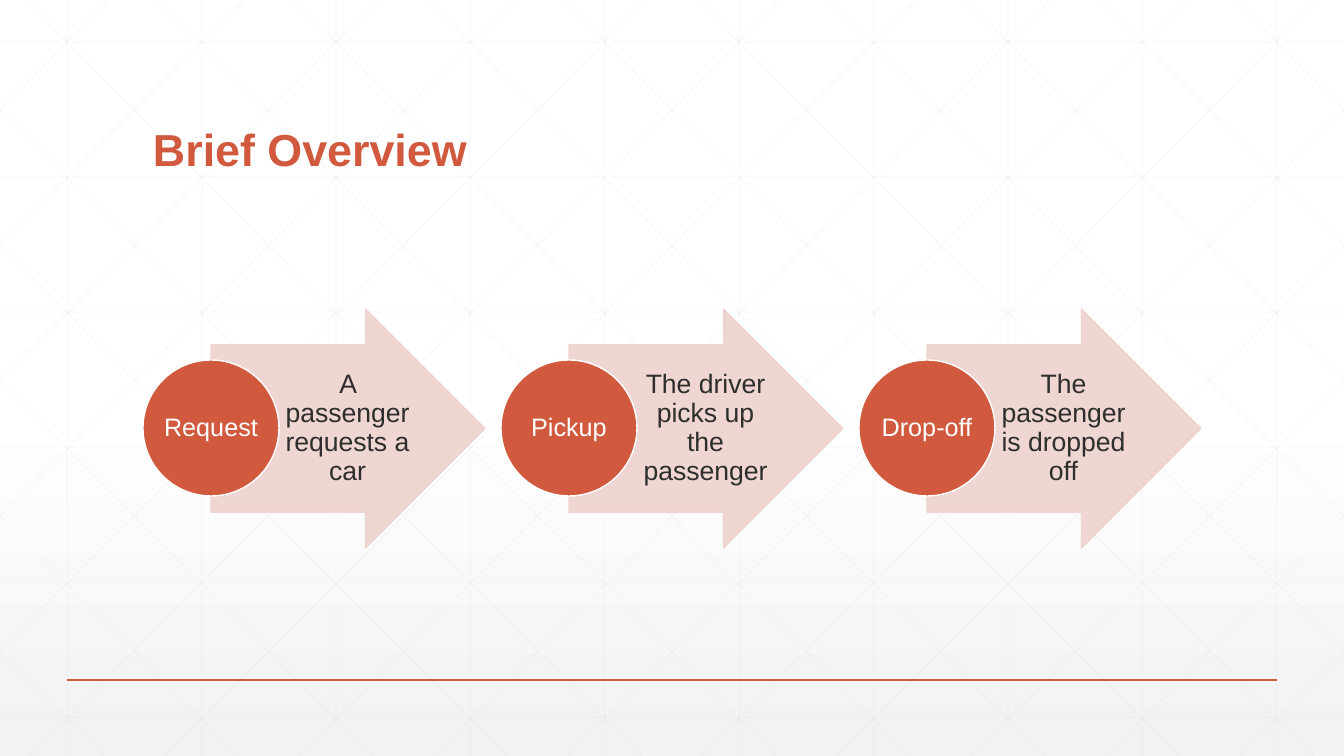
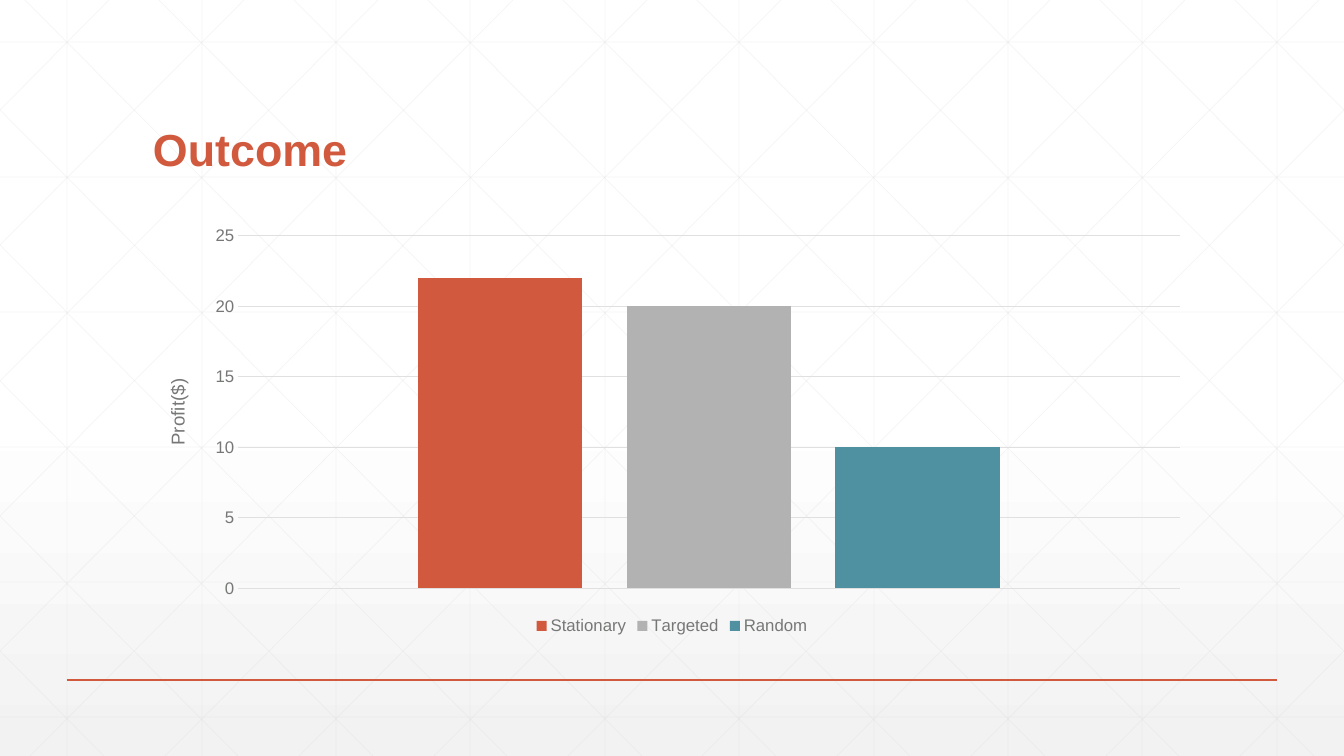
from dataclasses import dataclass

from lxml.etree import SubElement
from pptx import Presentation
from pptx.chart.data import CategoryChartData
from pptx.dml.color import RGBColor
from pptx.enum.chart import XL_CHART_TYPE as Kind, XL_LEGEND_POSITION as Spot
from pptx.enum.chart import XL_TICK_MARK as Tick
from pptx.enum.shapes import MSO_CONNECTOR as Link, MSO_SHAPE as Form
from pptx.enum.text import MSO_ANCHOR as Anchor, PP_ALIGN as Align
from pptx.oxml.ns import qn
from pptx.util import Emu, Pt

# Shared look
WIDE, HIGH = 1344, 756
FONT = "Arial"
WHITE, RUST, BLUSH = "FFFFFF", "D15A3E", "EED2CE"
INK, SLATE, MESH, PALE = "2D2E2D", "767876", "D9D9D9", "DFE0DF"
LEFT, SPAN = 143, 1058


@dataclass
class Step:
    name: str
    text: str


@dataclass
class Bar:
    name: str
    value: int
    color: str


STEPS = [
    Step("Request", "A passenger requests a car"),
    Step("Pickup", "The driver picks up the passenger"),
    Step("Drop-off", "The passenger is dropped off"),
]
BARS = [
    Bar("Stationary", 22, RUST),
    Bar("Targeted", 20, "B2B2B2"),
    Bar("Random", 10, "4F91A1"),
]


def px(size: float) -> Emu:
    return Emu(round(round(size) * 914400 / 100.8))


def box(*sizes: float) -> list[Emu]:
    return [px(size) for size in sizes]


def rgb(code: str) -> RGBColor:
    return RGBColor.from_string(code)


def style(font, size: float, color: str, bold: bool = False) -> None:
    font.name, font.size, font.bold = FONT, Pt(size), bold
    font.color.rgb = rgb(color)


def fade(shape, rate: int) -> None:
    for tint in shape.element.iter(qn("a:srgbClr")):
        SubElement(tint, qn("a:alpha"), val=str(rate * 1000))


def write(shape, text: str, size: float, color: str, pads: tuple,
          align=Align.CENTER, anchor=Anchor.MIDDLE, bold: bool = False) -> None:
    frame = shape.text_frame
    frame.word_wrap, frame.vertical_anchor = True, anchor
    frame.margin_left, frame.margin_top, frame.margin_right, frame.margin_bottom = box(*pads)
    frame.text = text
    para = frame.paragraphs[0]
    para.alignment, para.line_spacing = align, 0.9
    style(para.font, size, color, bold)


def rule(shapes, ends: tuple, color: str, width: float, rate: int = 100) -> None:
    line = shapes.add_connector(Link.STRAIGHT, *box(*ends))
    line.line.color.rgb, line.line.width = rgb(color), Pt(width)
    if rate < 100:
        fade(line, rate)
    SubElement(line.element.spPr, qn("a:effectLst"))


def solid(shapes, form, area: tuple, fill: str, edge: str):
    shape = shapes.add_shape(form, *box(*area))
    shape.shadow.inherit = False
    shape.fill.solid()
    shape.fill.fore_color.rgb = rgb(fill)
    shape.line.color.rgb, shape.line.width = rgb(edge), Pt(1)
    return shape


def mesh() -> list[tuple]:
    """Ends of the upright, level and slanted lines of the backdrop."""
    step, run = 134.4, 751
    lines = [(67.2 + step * i, 0, 67.2 + step * i, HIGH) for i in range(10)]
    lines += [(0, 42 + 135 * i, WIDE, 42 + 135 * i) for i in range(6)]
    for i in range(-5, 10):
        top = 25 + step * i
        start, stop = max(top, 0), min(top + run, WIDE)
        rise, fall = [(x - top) * HIGH / run for x in (start, stop)]
        lines += [(start, rise, stop, fall),
                  (WIDE - start, rise, WIDE - stop, fall)]
    return lines


def dress(layout, slide) -> None:
    """Give the layout its gradient, mesh and base line."""
    fill = layout.background.fill
    fill.gradient()
    fill.gradient_angle = 270
    for stop, place, color in zip(fill.gradient_stops, (0.53, 1), (WHITE, "F2F2F2")):
        stop.position, stop.color.rgb = place, rgb(color)
    tree = layout.shapes.element
    for spare in list(layout.placeholders)[1:]:
        tree.remove(spare.element)
    # Drawn in a group on the slide, then moved behind the layout's title
    group = slide.shapes.add_group_shape()
    for ends in mesh():
        rule(group.shapes, ends, MESH, 0.5, 25)
    rule(group.shapes, (67, 680, 1277, 680), RUST, 1)
    tree.insert(2, group.element)


def page(deck, layout, text: str):
    slide = deck.slides.add_slide(layout)
    title = slide.shapes.title
    title.left, title.top, title.width, title.height = box(LEFT, 55, SPAN, 126)
    write(title, text, 32, RUST, (10, 5, 10, 5), Align.LEFT, Anchor.BOTTOM, True)
    return slide


def flow(slide) -> None:
    shapes = slide.shapes
    for i, step in enumerate(STEPS):
        left = LEFT + 358 * i
        arrow = solid(shapes, Form.RIGHT_ARROW, (left + 68, 309, 274, 239), BLUSH, BLUSH)
        arrow.adjustments[0], arrow.adjustments[1] = 0.7, 0.5
        fade(arrow, 90)
        note = shapes.add_textbox(*box(left + 137, 345, 133, 167))
        write(note, step.text, 19, INK, (5, 1, 3, 1))
        disc = solid(shapes, Form.OVAL, (left, 360, 136, 136), RUST, WHITE)
        write(disc, step.name, 18, WHITE, (1, 1, 1, 1))


def graph(slide) -> None:
    data = CategoryChartData()
    data.categories = ["1"]
    for bar in BARS:
        data.add_series(bar.name, [bar.value])
    frame = slide.shapes.add_chart(Kind.COLUMN_CLUSTERED, *box(LEFT, 219, SPAN, 420), data)
    chart = frame.chart
    style(chart.font, 10, INK)
    chart.has_title = False

    # Bars
    plot = chart.plots[0]
    plot.gap_width, plot.overlap, plot.vary_by_categories = 219, -27, False
    for row, bar in zip(plot.series, BARS):
        row.format.fill.solid()
        row.format.fill.fore_color.rgb = rgb(bar.color)

    # Axes
    chart.category_axis.visible = False
    axis = chart.value_axis
    axis.minimum_scale, axis.maximum_scale, axis.major_unit = 0, 25, 5
    axis.major_tick_mark = axis.minor_tick_mark = Tick.NONE
    axis.format.line.fill.background()
    grid = axis.major_gridlines.format.line
    grid.color.rgb, grid.width = rgb(PALE), Pt(0.75)
    style(axis.tick_labels.font, 12, SLATE)
    name = axis.axis_title
    name.text_frame.text = "Profit($)"
    style(name.text_frame.paragraphs[0].font, 13.3, SLATE)
    body = next(name.element.iter(qn("a:bodyPr")))
    body.set("rot", "-5400000")
    body.set("vert", "horz")

    # Legend
    chart.has_legend = True
    chart.legend.position, chart.legend.include_in_layout = Spot.BOTTOM, False
    style(chart.legend.font, 12, SLATE)

    # Inner plot area, as shares of the chart
    area = next(chart.element.iter(qn("c:plotArea")))
    for old in area.findall(qn("c:layout")):
        area.remove(old)
    hold = SubElement(area, qn("c:layout"))
    area.insert(0, hold)
    spot = SubElement(hold, qn("c:manualLayout"))
    for tag, val in (("layoutTarget", "inner"), ("xMode", "edge"), ("yMode", "edge"),
                     ("x", "0.09"), ("y", "0.04"), ("w", "0.89"), ("h", "0.84")):
        SubElement(spot, qn("c:" + tag), val=val)


deck = Presentation()
deck.slide_width, deck.slide_height = box(WIDE, HIGH)
layout = deck.slide_layouts[5]

first = page(deck, layout, "Brief Overview")
dress(layout, first)
flow(first)

graph(page(deck, layout, "Outcome"))

deck.save("out.pptx")
